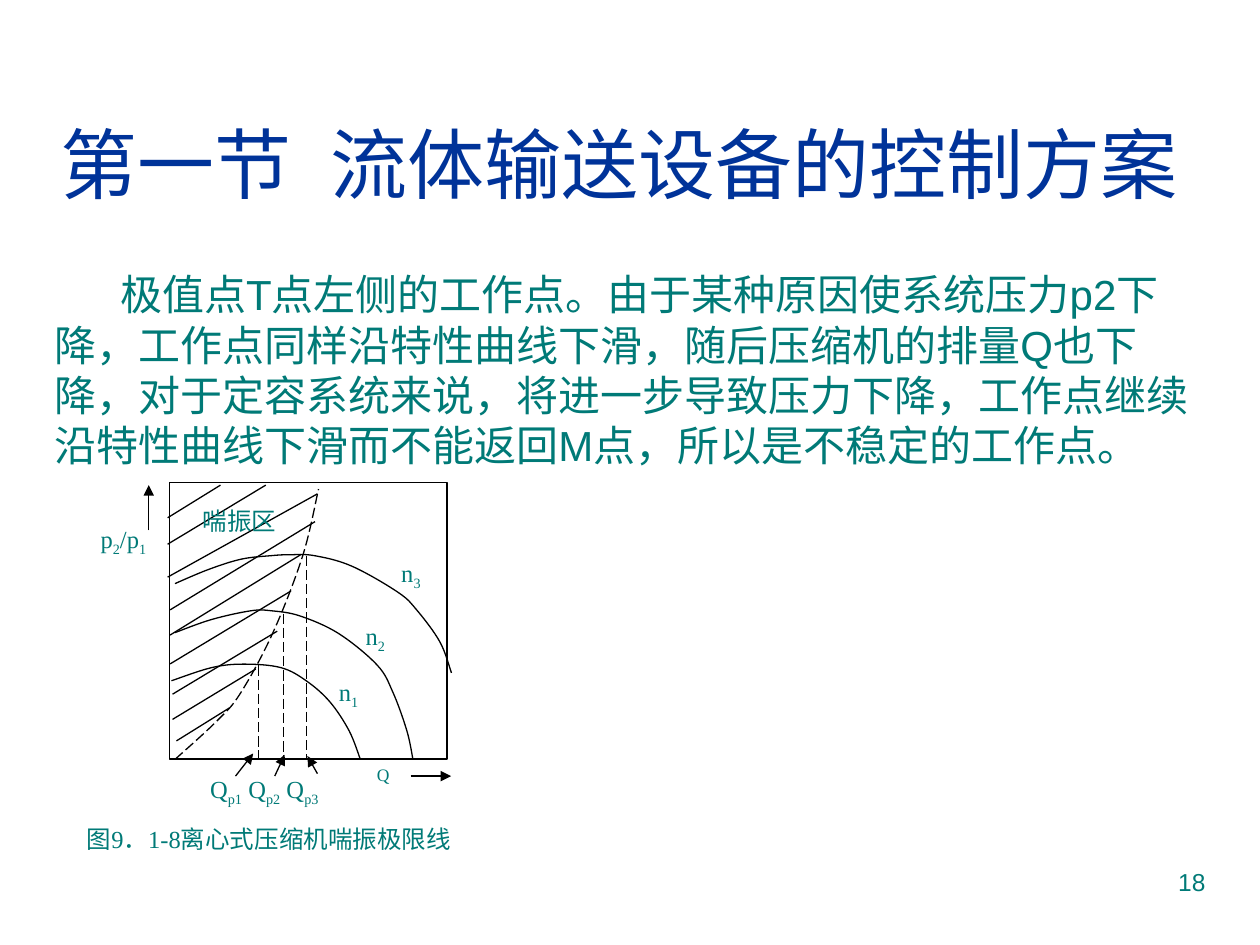
from lxml import etree
from pptx import Presentation
from pptx.dml.color import RGBColor
from pptx.enum.dml import MSO_LINE
from pptx.enum.shapes import MSO_CONNECTOR, MSO_SHAPE
from pptx.enum.text import MSO_ANCHOR, PP_ALIGN
from pptx.oxml.ns import qn
from pptx.util import Pt

LEFT, RIGHT = PP_ALIGN.LEFT, PP_ALIGN.RIGHT
CENTER, JUSTIFY = PP_ALIGN.CENTER, PP_ALIGN.JUSTIFY
MIDDLE = MSO_ANCHOR.MIDDLE
RECT, STRAIGHT = MSO_SHAPE.RECTANGLE, MSO_CONNECTOR.STRAIGHT
DASH = MSO_LINE.LONG_DASH
TEAL = RGBColor(0x00, 0x7A, 0x77)
BLUE = RGBColor(0x00, 0x33, 0x99)
BLACK = RGBColor(0, 0, 0)
WHITE = RGBColor(255, 255, 255)
SANS, SERIF = "Arial", "Times New Roman"

prs = Presentation()
prs.slide_width, prs.slide_height = Pt(720), Pt(540)
slide = prs.slides.add_slide(prs.slide_layouts[6])
shapes = slide.shapes


def add_text(box, parts, align, size, name, color=TEAL):
    """Add a text box; every second part is a subscript."""
    frame = shapes.add_textbox(*map(Pt, box)).text_frame
    frame.word_wrap = True
    para = frame.paragraphs[0]
    para.alignment = align
    looks = {"size": Pt(size), "name": name}
    for i, part in enumerate(parts):
        run = para.add_run()
        run.text = part
        for key, value in looks.items():
            setattr(run.font, key, value)
        run.font.color.rgb = color
        if i % 2:
            run.font._element.set("baseline", "-25000")
    return frame


def add_line(x1, y1, x2, y2, dash=None, arrow=False):
    """Add a thin black line, dashed or with an arrowhead at its end."""
    line = shapes.add_connector(STRAIGHT, Pt(x1), Pt(y1), Pt(x2), Pt(y2))
    etree.SubElement(line._element.spPr, qn("a:effectLst"))
    line.line.color.rgb = BLACK
    line.line.width = Pt(0.75)
    if dash:
        line.line.dash_style = dash
    if arrow:
        head = etree.SubElement(line.line._get_or_add_ln(), qn("a:tailEnd"))
        head.set("type", "triangle")


# Page number and body text
add_text((516, 492, 180, 37.5), ["18"], RIGHT, 14, SANS)
body = add_text((24, 150, 672, 330), [
    "极值点T点左侧的工作点。由于某种原因使系统压力p2下降，"
    "工作点同样沿特性曲线下滑，随后压缩机的排量Q也下降，"
    "对于定容系统来说，将进一步导致压力下降，"
    "工作点继续沿特性曲线下滑而不能返回M点，所以是不稳定的工作点。",
], LEFT, 24, SANS)
props = body.paragraphs[0]._p.get_or_add_pPr()
props.set("indent", str(Pt(37.5)))
props.set("hangingPunct", "0")

# Chart frame
plot = shapes.add_shape(RECT, Pt(96.8), Pt(275.8), Pt(158.6), Pt(158))
plot.shadow.inherit = False
plot.fill.solid()
plot.fill.fore_color.rgb = WHITE
plot.line.color.rgb = BLACK
plot.line.width = Pt(0.75)

# Surge limit and speed curves, smoothed through their knots
surge = [(100, 434), (124, 412), (137.5, 396), (156, 361.5),
         (173, 317.5), (182, 279.5)]
speed1 = [(98, 389), (121, 381.5), (139.5, 379.5), (160.5, 381.5),
          (175, 389), (188.5, 401), (199.5, 417.5), (206, 434)]
speed2 = [(100, 361.5), (121, 354), (143.5, 349), (155, 349),
          (171.5, 352), (193.5, 362), (215.5, 380), (224.5, 395.5),
          (232.5, 417.5), (236, 434)]
speed3 = [(100, 333.5), (119, 325.5), (138, 319.5), (155.5, 317.5),
          (165.5, 317), (179.5, 317.5), (201, 323.5), (227.5, 338.5),
          (238.5, 349), (251.5, 367), (258, 384.5)]
for knots, dash in ((surge, DASH), (speed1, None),
                    (speed2, None), (speed3, None)):
    pen = shapes.build_freeform(*map(Pt, knots[0]))
    pen.add_line_segments([tuple(map(Pt, k)) for k in knots[1:]], close=False)
    curve = pen.convert_to_shape()
    curve.shadow.inherit = False
    curve.fill.background()
    curve.line.color.rgb = BLACK
    curve.line.width = Pt(0.75)
    if dash:
        curve.line.dash_style = dash
    # Bend each straight piece into a Bezier piece
    ends = [knots[0], *knots, knots[-1]]
    pieces = list(curve._element.iter(qn("a:lnTo")))
    for piece, quad in zip(pieces, zip(ends, ends[1:], ends[2:], ends[3:])):
        piece.tag = qn("a:cubicBezTo")
        a, b, c, d = quad
        for i, (mid, far, near) in enumerate(((b, c, a), (c, b, d))):
            x, y = (m + (f - n) / 6 for m, f, n in zip(mid, far, near))
            dot = etree.Element(qn("a:pt"))
            dot.set("x", str(Pt(x) - curve.left))
            dot.set("y", str(Pt(y) - curve.top))
            piece.insert(i, dot)

# Hatching of the surge zone
for ends in ((131, 404.6, 100.8, 423.4), (146.2, 382.3, 98.6, 411.1),
             (158.4, 360.7, 98.6, 396.7), (166.3, 337.7, 97.2, 379.4),
             (172.1, 316.8, 97.2, 362.9), (180, 298.1, 97.2, 348.5),
             (181.4, 282.2, 95.8, 329.8), (151.9, 277.2, 95.8, 311),
             (126, 277.2, 95.8, 295.9)):
    add_line(*ends)

# Limit flows
for x, top in ((147.6, 380.2), (162, 350.6), (175, 317.5)):
    add_line(x, top, x, 434.2, dash=DASH)

# Axis arrows and pointers to the limit flows
for ends in ((85, 303.1, 85, 277.2), (234.7, 443.5, 257.8, 443.5),
             (134.6, 443.5, 144.7, 430.6), (181.4, 442.1, 175.7, 432),
             (157, 443.5, 162.7, 431.3)):
    add_line(*ends, arrow=True)

# Chart labels and caption
for box, parts, size in (
    ((108.7, 285.8, 71.3, 33), ["喘振区"], 14),
    ((50.4, 295.6, 60.5, 34.5), ["p", "2", "/p", "1"], 14),
    ((222.2, 315.4, 39, 34.5), ["n", "3"], 14),
    ((201.8, 351.4, 40, 34.5), ["n", "2"], 14),
    ((186.5, 383.4, 38, 37.5), ["n", "1"], 14),
    ((113, 438.5, 110, 34), ["Q", "p1", " Q", "p2", " Q", "p3"], 14),
    ((208.3, 433, 34, 24), ["Q"], 10),
    ((42.5, 467.3, 289.5, 35), ["图9．1-8离心式压缩机喘振极限线"], 14),
):
    add_text(box, parts, JUSTIFY, size, SERIF)

# Title, with a widened gap after the section number
title = add_text((24, 48, 672, 90),
                 ["第一节", " ", "流体输送设备的控制方案"],
                 CENTER, 44, SANS, BLUE)
title.vertical_anchor = MIDDLE
title.margin_right = Pt(19)
gap = title.paragraphs[0].runs[1].font._element
for key, value in {"baseline": "0", "spc": "1220"}.items():
    gap.set(key, value)

prs.save("out.pptx")
